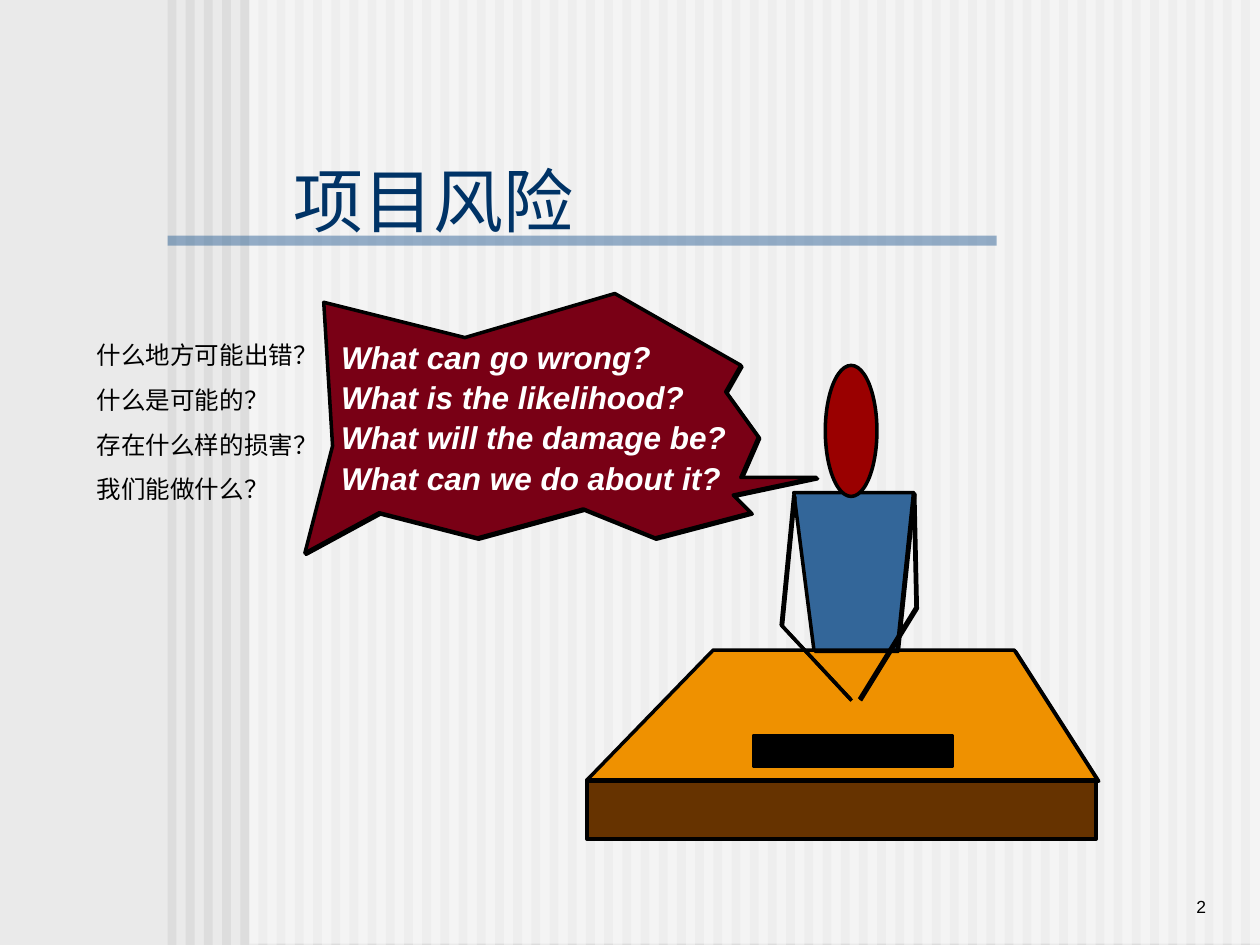
from lxml.etree import SubElement
from pptx import Presentation
from pptx.dml.color import RGBColor
from pptx.enum.shapes import MSO_SHAPE
from pptx.enum.text import MSO_ANCHOR, PP_ALIGN
from pptx.oxml.ns import qn
from pptx.util import Inches, Pt

PAPER = RGBColor(0xEA, 0xEA, 0xEA)
STRIPE = RGBColor(0xDD, 0xDD, 0xDD)
WHITE = RGBColor(0xFF, 0xFF, 0xFF)
BLACK = RGBColor(0, 0, 0)
NAVY = RGBColor(0x00, 0x33, 0x66)
BLUE = RGBColor(0x33, 0x66, 0x99)
WINE = RGBColor(0x79, 0x00, 0x15)
RED = RGBColor(0x9A, 0x00, 0x00)
BROWN = RGBColor(0x66, 0x33, 0x00)
ORANGE = RGBColor(0xEF, 0x91, 0x00)

TITLE = {"size": Pt(40), "color": NAVY}
SPEECH = {"size": Pt(18), "color": WHITE, "bold": True, "italic": True}
NOTE = {"size": Pt(14), "color": BLACK}
NUMBER = {"size": Pt(10), "color": BLACK}

STRIPES = 60
PITCH = 8.52 / (STRIPES - 1)
SHIFT = 0.01

BUBBLE = [(6.48, 3.79), (5.82, 3.93), (5.96, 4.07), (5.2, 4.27), (4.63, 4.04),
          (3.79, 4.27), (3.01, 4.07), (2.42, 4.39), (2.64, 3.54), (2.57, 2.4),
          (3.69, 2.68), (4.88, 2.33), (5.88, 2.9), (5.76, 3.11), (6.02, 3.47),
          (5.88, 3.79), (6.45, 3.79)]
TABLE = [(4.66, 6.19), (5.66, 5.16), (8.05, 5.16), (8.71, 6.19)]
BODY = [(6.46, 5.16), (6.3, 3.91), (7.25, 3.91), (7.12, 5.16)]
ARMS = [[(6.3, 3.93), (6.2, 4.96), (6.75, 5.55)],
        [(7.25, 3.91), (7.27, 4.82), (6.82, 5.55)]]

LINES = ["What can go wrong?", "What is the likelihood?",
         "What will the damage be?", "What can we do about it?"]
NOTES = ["什么地方可能出错？", "什么是可能的？", "存在什么样的损害？", "我们能做什么？"]


def paint(shape, fill=None, edge=None, alpha=None):
    """Set the fill, outline and opacity of a shape."""
    shape.shadow.inherit = False
    if fill is None:
        shape.fill.background()
    else:
        shape.fill.solid()
        shape.fill.fore_color.rgb = fill
    if edge is None:
        shape.line.fill.background()
    else:
        shape.line.color.rgb = edge
        shape.line.width = Pt(2)
    if alpha is not None:
        color = shape.fill._xPr.find(qn("a:solidFill"))[0]
        SubElement(color, qn("a:alpha"), val=str(alpha * 1000))


def add_block(slide, kind, box, **look):
    """Add a preset shape."""
    shape = slide.shapes.add_shape(kind, *map(Inches, box))
    paint(shape, **look)


def add_path(slide, points, fill=None, close=True):
    """Add an outline with a slightly shifted second line behind it."""
    for shift, color in ((SHIFT, None), (0, fill)):
        spots = [(Inches(x + shift), Inches(y + shift)) for x, y in points]
        maker = slide.shapes.build_freeform(*spots[0])
        maker.add_line_segments(spots[1:], close=close)
        paint(maker.convert_to_shape(), fill=color, edge=BLACK)


def add_text(slide, box, lines, style, align=PP_ALIGN.LEFT,
             anchor=MSO_ANCHOR.TOP, gap=0):
    """Add a text box with one paragraph per line."""
    frame = slide.shapes.add_textbox(*map(Inches, box)).text_frame
    frame.word_wrap = True
    frame.vertical_anchor = anchor
    for index, line in enumerate(lines):
        para = frame.add_paragraph() if index else frame.paragraphs[0]
        para.alignment = align
        if index and gap:
            para.space_before = Pt(gap)
        run = para.add_run()
        run.text = line
        run.font.name = "Arial"
        for name, value in style.items():
            if name == "color":
                run.font.color.rgb = value
            else:
                setattr(run.font, name, value)


def draw_back(slide):
    """Draw the striped backdrop and the title rule."""
    slide.background.fill.solid()
    slide.background.fill.fore_color.rgb = PAPER
    rect = MSO_SHAPE.RECTANGLE
    for index in range(STRIPES):
        add_block(slide, rect, (1.33 + index * PITCH, 0, 0.07, 7.5), fill=STRIPE)
    add_block(slide, rect, (1.98, -0.01, 8.02, 7.5), fill=WHITE, alpha=50)
    add_block(slide, rect, (1.33, 1.87, 6.58, 0.08), fill=BLUE, alpha=50)


def draw_scene(slide):
    """Draw the speaker at the table with the speech bubble."""
    rect = MSO_SHAPE.RECTANGLE
    add_path(slide, BUBBLE, WINE)
    add_block(slide, rect, (4.66, 6.19, 4.04, 0.47), fill=BROWN, edge=BLACK)
    add_path(slide, TABLE, ORANGE)
    add_path(slide, BODY, BLUE)
    for arm in ARMS:
        add_path(slide, arm, close=False)
    add_block(slide, MSO_SHAPE.OVAL, (6.55, 2.9, 0.41, 1.04), fill=RED, edge=BLACK)
    add_block(slide, rect, (5.98, 5.84, 1.58, 0.24), fill=BLACK, edge=BLACK)


def main():
    """Build and save the slide."""
    deck = Presentation()
    deck.slide_width, deck.slide_height = Inches(10), Inches(7.5)
    slide = deck.slides.add_slide(deck.slide_layouts[6])
    draw_back(slide)
    add_text(slide, (8.25, 6.83, 1.42, 0.5), ["2"], NUMBER,
             align=PP_ALIGN.RIGHT, anchor=MSO_ANCHOR.BOTTOM)
    add_text(slide, (2.23, 1.42, 5.85, 0.33), ["项目风险"], TITLE,
             anchor=MSO_ANCHOR.MIDDLE)
    draw_scene(slide)
    for index, line in enumerate(LINES):
        add_text(slide, (2.61, 2.63 + index * 0.32, 3.4, 0.4), [line], SPEECH)
    add_text(slide, (0.67, 2.65, 1.97, 1.4), NOTES, NOTE, gap=8.8)
    deck.save("out.pptx")


if __name__ == "__main__":
    main()
